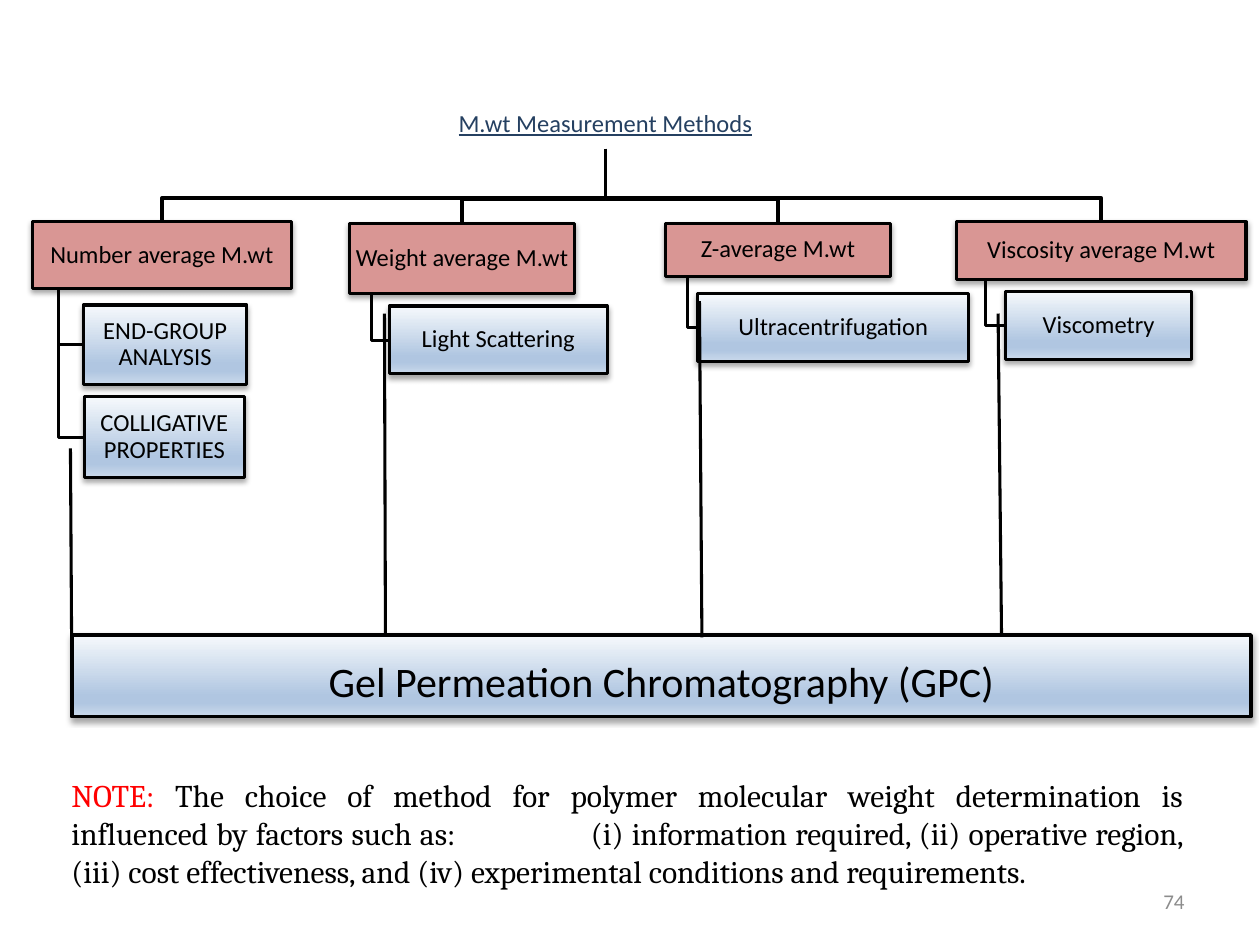
import pptx
import pptx.dml.color
import pptx.enum.shapes
import pptx.enum.text
import pptx.oxml
import pptx.oxml.ns
import pptx.util
from pptx.util import Cm

RGBColor = pptx.dml.color.RGBColor
Align = pptx.enum.text.PP_ALIGN
Anchor = pptx.enum.text.MSO_ANCHOR

BLACK = RGBColor(0x00, 0x00, 0x00)
NAVY = RGBColor(0x25, 0x40, 0x61)
ROSE = RGBColor(0xD9, 0x96, 0x94)
RED = RGBColor(0xFF, 0x00, 0x00)
GREY = RGBColor(0x8C, 0x8C, 0x8C)
BLUE_STOPS = [
    (0, RGBColor(0xF6, 0xF9, 0xFC)),
    (74, RGBColor(0xB0, 0xC6, 0xE1)),
    (83, RGBColor(0xB0, 0xC6, 0xE1)),
    (100, RGBColor(0xCA, 0xD9, 0xEB)),
]

# Content: every place is left, top, width, height in cm
HEADING = ("M.wt Measurement Methods", (7.01, 2.01, 10.39, 0.99))
BRANCHES = [
    ("Number average M.wt", (0.66, 4.47, 5.21, 1.35), 2, [
        ("END-GROUP ANALYSIS", (1.68, 6.15, 3.3, 1.6)),
        ("COLLIGATIVE PROPERTIES", (1.7, 8, 3.23, 1.63))]),
    ("Weight average M.wt", (7.04, 4.5, 4.55, 1.42), 2, [
        ("Light Scattering", (7.85, 6.17, 4.39, 1.37))]),
    ("Z-average M.wt", (13.41, 4.5, 4.55, 1.07), 1.75, [
        ("Ultracentrifugation", (14.07, 5.92, 5.46, 1.37))]),
    ("Viscosity average M.wt", (19.28, 4.47, 5.84, 1.17), 2, [
        ("Viscometry", (20.27, 5.87, 3.76, 1.37))]),
]
GPC = ("Gel Permeation Chromatography (GPC)", (1.45, 12.8, 23.77, 1.65))
GPC_LINES = [
    ((7.75, 6.32), (7.77, 12.8)),
    ((14.1, 6.07), (14.15, 12.85)),
    ((20.12, 6.32), (20.19, 12.83)),
    ((1.42, 9.04), (1.45, 13.97)),
]
NOTE = [
    ("NOTE: ", RED),
    ("The choice of method for polymer molecular weight determination is "
     "influenced by factors such as:\t(i) information required, "
     "(ii) operative region, (iii) cost effectiveness, and "
     "(iv) experimental conditions and requirements.", BLACK),
]
NOTE_PLACE = (1.19, 15.52, 22.91, 3.33)
NOTE_TAB = Cm(10.36)
PAGE_NUMBER = ("74", (18.21, 17.65, 5.92, 1.02))

BUS_RISE = 0.48  # from a branch top up to its horizontal line
INSET = Cm(0.03)
TIGHT = {"word_wrap": True, "auto_size": pptx.enum.text.MSO_AUTO_SIZE.NONE,
         "vertical_anchor": Anchor.MIDDLE, "margin_left": INSET,
         "margin_right": INSET, "margin_top": INSET, "margin_bottom": INSET}


def set_all(target, values):
    for name, value in values.items():
        setattr(target, name, value)


def add_element(parent, tag, **attributes):
    child = pptx.oxml.ns.qn(tag)
    element = parent.makeelement(child, {key: str(value) for key, value in attributes.items()})
    parent.append(element)
    return element


def write(shape, spans, size, font="Calibri", align=Align.CENTER, spacing=0.9, tab=None):
    para = shape.text_frame.paragraphs[0]
    set_all(para, {"alignment": align, "line_spacing": spacing})
    if tab:
        tabs = add_element(para._p.get_or_add_pPr(), "a:tabLst")
        add_element(tabs, "a:tab", pos=int(tab), algn="l")
    for text, color in spans:
        span = para.add_run()
        span.text = text
        set_all(span.font, {"name": font, "size": pptx.util.Pt(size)})
        span.font.color.rgb = color


def set_line(shape, width):
    shape.line.color.rgb = BLACK
    shape.line.width = pptx.util.Pt(width)


def fill_blue(shape):
    shape.fill.gradient()
    shape.fill.gradient_angle = 270
    stops = shape.element.spPr.find(".//" + pptx.oxml.ns.qn("a:gsLst"))
    for stop in list(stops):
        stops.remove(stop)
    for position, color in BLUE_STOPS:
        stop = add_element(stops, "a:gs", pos=position * 1000)
        add_element(stop, "a:srgbClr", val=color)


def add_shadow(shape):
    shape.shadow.inherit = False
    effects = shape.element.spPr.find(pptx.oxml.ns.qn("a:effectLst"))
    shadow = add_element(effects, "a:outerShdw", blurRad=40000, dist=23000,
                         dir=5400000, rotWithShape=0)
    color = add_element(shadow, "a:srgbClr", val=BLACK)
    add_element(color, "a:alpha", val=35000)


def add_box(page, text, place, size=14, width=1.75, fill=None):
    box = page.shapes.add_shape(pptx.enum.shapes.MSO_SHAPE.RECTANGLE, *map(Cm, place))
    if fill is None:
        fill_blue(box)
    else:
        box.fill.solid()
        box.fill.fore_color.rgb = fill
    set_line(box, width)
    add_shadow(box)
    set_all(box.text_frame, TIGHT)
    write(box, [(text, BLACK)], size)
    return box


def add_elbow(page, points, width):
    points = [(Cm(x), Cm(y)) for x, y in points]
    builder = page.shapes.build_freeform(*points[0])
    builder.add_line_segments(points[1:], close=False)
    elbow = builder.convert_to_shape()
    elbow.fill.background()
    elbow.shadow.inherit = False
    set_line(elbow, width)


def add_text(page, place, *content, frame, **style):
    box = page.shapes.add_textbox(*map(Cm, place))
    set_all(box.text_frame, {"word_wrap": True, **frame})
    write(box, *content, **style)


def main():
    deck = pptx.Presentation()
    set_all(deck, {"slide_width": Cm(25.4), "slide_height": Cm(19.05)})
    page = deck.slides.add_slide(deck.slide_layouts[5])

    # Heading
    text, place = HEADING
    title = page.shapes.title
    set_all(title, dict(zip(("left", "top", "width", "height"), map(Cm, place))))
    set_all(title.text_frame, TIGHT)
    write(title, [(text, NAVY)], 14)
    title.text_frame.paragraphs[0].runs[0].font.underline = True
    root = (place[0] + place[2] / 2, place[1] + place[3])

    # Tree lines, behind the boxes
    for _, (left, top, width, height), weight, methods in BRANCHES:
        middle, bus = left + width / 2, top - BUS_RISE
        add_elbow(page, [root, (root[0], bus), (middle, bus), (middle, top)], weight)
        trunk = left + width / 10
        for _, (x, y, _, tall) in methods:
            level = y + tall / 2
            add_elbow(page, [(trunk, top + height), (trunk, level), (x, level)], 1.75)

    # Averages and their methods
    for text, place, _, methods in BRANCHES:
        add_box(page, text, place, fill=ROSE)
        for method, spot in methods:
            add_box(page, method, spot)

    # Shared method with its lines
    bar = add_box(page, *GPC, size=24, width=2)
    bar.text_frame.margin_top = Cm(0.35)
    for start, end in GPC_LINES:
        line = page.shapes.add_connector(pptx.enum.shapes.MSO_CONNECTOR.STRAIGHT,
                                         *map(Cm, start + end))
        set_line(line, 1.75)
        add_element(line.element.spPr, "a:effectLst")

    # Page number and note
    text, place = PAGE_NUMBER
    add_text(page, place, [(text, GREY)], 12, frame={"vertical_anchor": Anchor.MIDDLE},
             align=Align.RIGHT, spacing=1)
    add_text(page, NOTE_PLACE, NOTE, 18, frame={}, font="Cambria",
             align=Align.JUSTIFY, spacing=1, tab=NOTE_TAB)

    deck.save("out.pptx")


if __name__ == "__main__":
    main()
